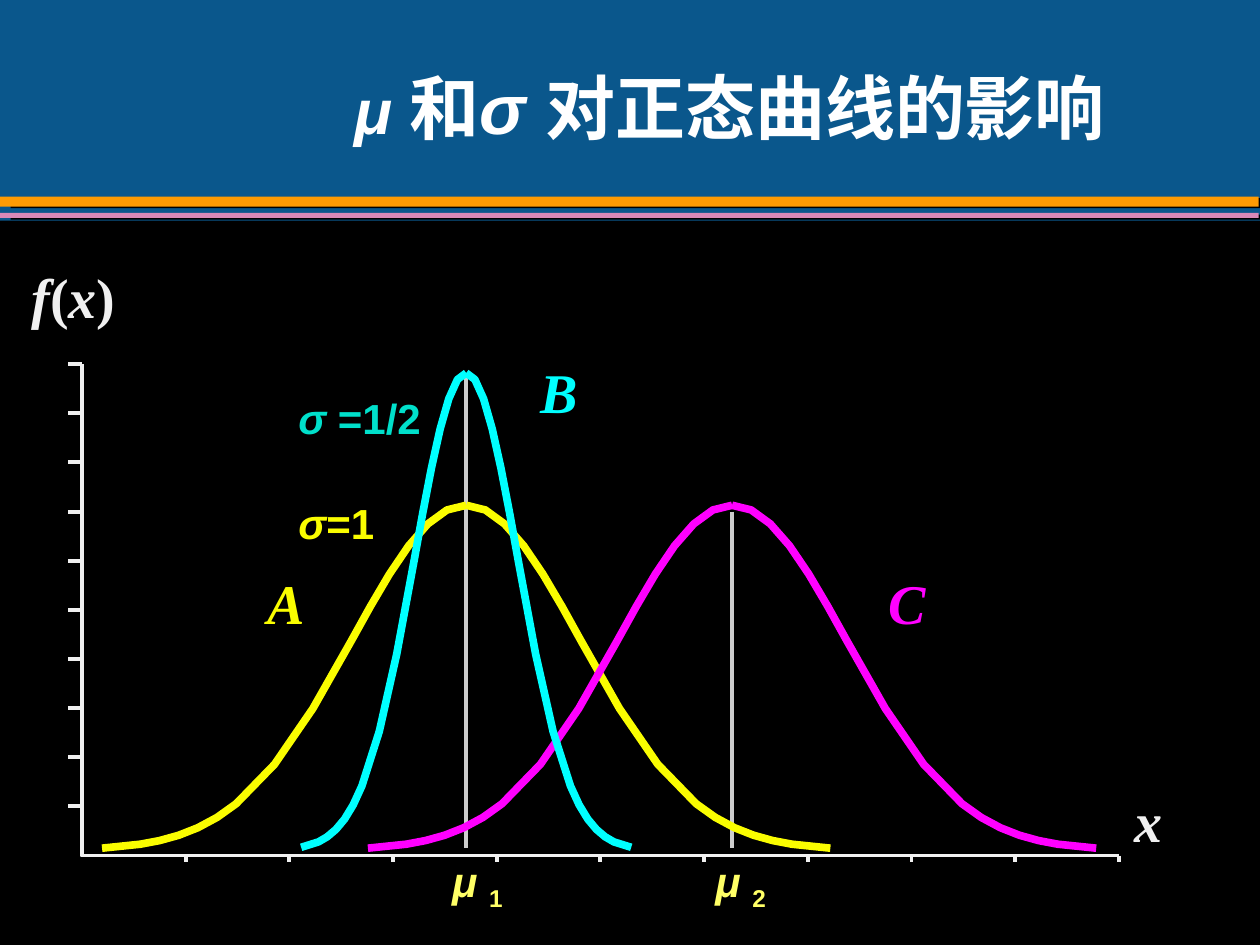
from math import exp

from lxml import etree
from pptx import Presentation
from pptx.dml.color import RGBColor
from pptx.enum.shapes import MSO_CONNECTOR, MSO_SHAPE
from pptx.enum.text import MSO_ANCHOR, PP_ALIGN
from pptx.oxml import parse_xml
from pptx.oxml.ns import nsdecls, qn
from pptx.util import Inches, Pt

RECT = MSO_SHAPE.RECTANGLE
STRAIGHT = MSO_CONNECTOR.STRAIGHT
MIDDLE = MSO_ANCHOR.MIDDLE
CENTER = PP_ALIGN.CENTER

BLUE = RGBColor(0x0A, 0x57, 0x8C)
ORANGE = RGBColor(0xFE, 0x9B, 0x03)
PINK = RGBColor(0xD9, 0x89, 0xB8)
BLACK = RGBColor(0, 0, 0)
WHITE = RGBColor(0xFF, 0xFF, 0xFF)
PALE = RGBColor(0xF0, 0xF0, 0xF0)
GREY = RGBColor(0xCD, 0xCD, 0xCD)
YELLOW = RGBColor(0xFA, 0xFD, 0x00)
LEMON = RGBColor(0xFF, 0xFF, 0x66)
MAGENTA = RGBColor(0xFF, 0x00, 0xFF)
CYAN = RGBColor(0x00, 0xFF, 0xFF)
TEAL = RGBColor(0x00, 0xE0, 0xCB)
SERIF, SANS, TITLE = "Times New Roman", "Arial", "Vollkorn"

# Plot grid in inches: axis origin, column and row pitch
LEFT, BASE = 0.65, 6.79
COL, ROW = 0.823, 0.39
COLS, ROWS = 10, 10
MU1, MU2 = 3.7, 5.81

prs = Presentation()
prs.slide_width, prs.slide_height = Inches(10), Inches(7.5)
slide = prs.slides.add_slide(prs.slide_layouts[6])
slide.background.fill.solid()
slide.background.fill.fore_color.rgb = BLUE
shapes = slide.shapes


def add_text(place, runs, size, color, inset=(0.1, 0.05), wrap=False):
    """Add a bold text box; each run is (text, font, italic)."""
    box = shapes.add_textbox(*[Inches(v) for v in place])
    frame = box.text_frame
    frame.word_wrap = wrap
    frame.margin_left = frame.margin_right = Inches(inset[0])
    frame.margin_top = frame.margin_bottom = Inches(inset[1])
    para = frame.paragraphs[0]
    para.font.size, para.font.bold = Pt(size), True
    para.font.color.rgb = color
    for text, font, slant in runs:
        run = para.add_run()
        run.text = text
        run.font.name, run.font.italic = font, slant
    return frame


def add_line(x1, y1, x2, y2, color):
    line = shapes.add_connector(STRAIGHT, Inches(x1), Inches(y1),
                                Inches(x2), Inches(y2))
    line.line.color.rgb = color
    line.line.width = Pt(2.25)
    etree.SubElement(line._element.spPr, qn("a:effectLst"))


# Header bands with a hard shadow, then the black panel
for top, wide, high, color in ((1.56, 9.99, 0.08, ORANGE),
                               (1.69, 9.99, 0.04, PINK),
                               (1.75, 10, 5.75, BLACK)):
    band = shapes.add_shape(RECT, 0, Inches(top), Inches(wide), Inches(high))
    band.fill.solid()
    band.fill.fore_color.rgb = color
    band.line.fill.background()
    band.shadow.inherit = False
    if color != BLACK:
        band._element.spPr.find(qn("a:effectLst")).append(parse_xml(
            f'<a:outerShdw {nsdecls("a")} dist="{Pt(6.1)}" dir="540000" '
            'algn="ctr" rotWithShape="0"><a:srgbClr val="000000"/>'
            '</a:outerShdw>'))

# Title
frame = add_text((2.08, 0.25, 7.42, 1.25),
                 [("μ", SANS, True), (" ", SERIF, True), ("和", SERIF, False),
                  ("σ ", SANS, True), ("对", SERIF, False),
                  ("正态曲线的影响", TITLE, False)], 40, WHITE, wrap=True)
frame.vertical_anchor = MIDDLE
head = frame.paragraphs[0]
head.alignment, head.line_spacing = CENTER, 0.95
head.runs[0].font.size = Pt(36)

# Mean lines
add_line(MU2, 4.06, MU2, 6.73, GREY)
add_line(MU1, 2.96, MU1, 6.73, GREY)

# Normal curves, each as two halves; 19 steps to the peak, sigma is 6 steps
STEPS = (0, 2, 3, 4, 5, 6, 7, 9, 11, 13, 14, 15, 16, 17, 18, 19)
FOOT = 6.75
for mean, half, peak, color in ((MU1, 2.89, 2.74, YELLOW),
                                (MU2, 2.89, 2.74, MAGENTA),
                                (MU1, 1.31, 3.79, CYAN)):
    for side in (1, -1):
        points = []
        for step in STEPS:
            away = 19 - step
            points.append((Inches(mean + side * half * away / 19),
                           Inches(FOOT - peak * exp(-(away / 6) ** 2 / 2))))
        pen = shapes.build_freeform(*points[0])
        pen.add_line_segments(points[1:], close=False)
        curve = pen.convert_to_shape()
        curve.fill.background()
        curve.line.color.rgb = color
        curve.line.width = Pt(4.37)
        curve.shadow.inherit = False

# Axes and ticks
right, top = LEFT + COLS * COL, BASE - ROWS * ROW
pen = shapes.build_freeform(Inches(LEFT), Inches(top))
pen.add_line_segments([(Inches(LEFT), Inches(BASE)),
                       (Inches(right), Inches(BASE))], close=False)
axes = pen.convert_to_shape()
axes.fill.background()
axes.line.color.rgb = PALE
axes.line.width = Pt(2.25)
axes.shadow.inherit = False
for col in range(1, COLS + 1):
    x = LEFT + col * COL
    add_line(x, BASE, x, BASE + 0.05, PALE)
for row in range(1, ROWS + 1):
    y = BASE - row * ROW
    add_line(LEFT - 0.11, y, LEFT, y, PALE)

# Axis and curve names
for x, y, wide, text, color in ((9, 6.24, 0.22, "x", PALE),
                                (0.25, 2.08, 0.67, "f(x)", PALE),
                                (7.05, 4.51, 0.3, "C", MAGENTA),
                                (2.12, 4.51, 0.3, "A", YELLOW),
                                (4.29, 2.84, 0.3, "B", CYAN)):
    runs = [(char, SERIF, char.isalpha()) for char in text]
    add_text((x, y, wide, 0.53), runs, 32, color, inset=(0, 0))

# Sigma notes
for y, wide, high, sign, value, color in (
        (3.07, 1.17, 0.5, "σ ", "=1/2", TEAL),
        (3.9, 0.83, 0.9, "σ", "=1", YELLOW)):
    frame = add_text((2.27, y, wide, high),
                     [(sign, SANS, True), (value, SANS, False)],
                     24, color, wrap=True)
    frame.paragraphs[0].space_before = Pt(15)

# Mean labels with subscripts
for x, digit in ((3.49, "1"), (5.58, "2")):
    frame = add_text((x, 6.74, 0.65, 0.56),
                     [("μ ", SANS, True), (digit, SANS, False)], 24, LEMON)
    frame.paragraphs[0].runs[1]._r.get_or_add_rPr().set("baseline", "-25000")

prs.save("out.pptx")
